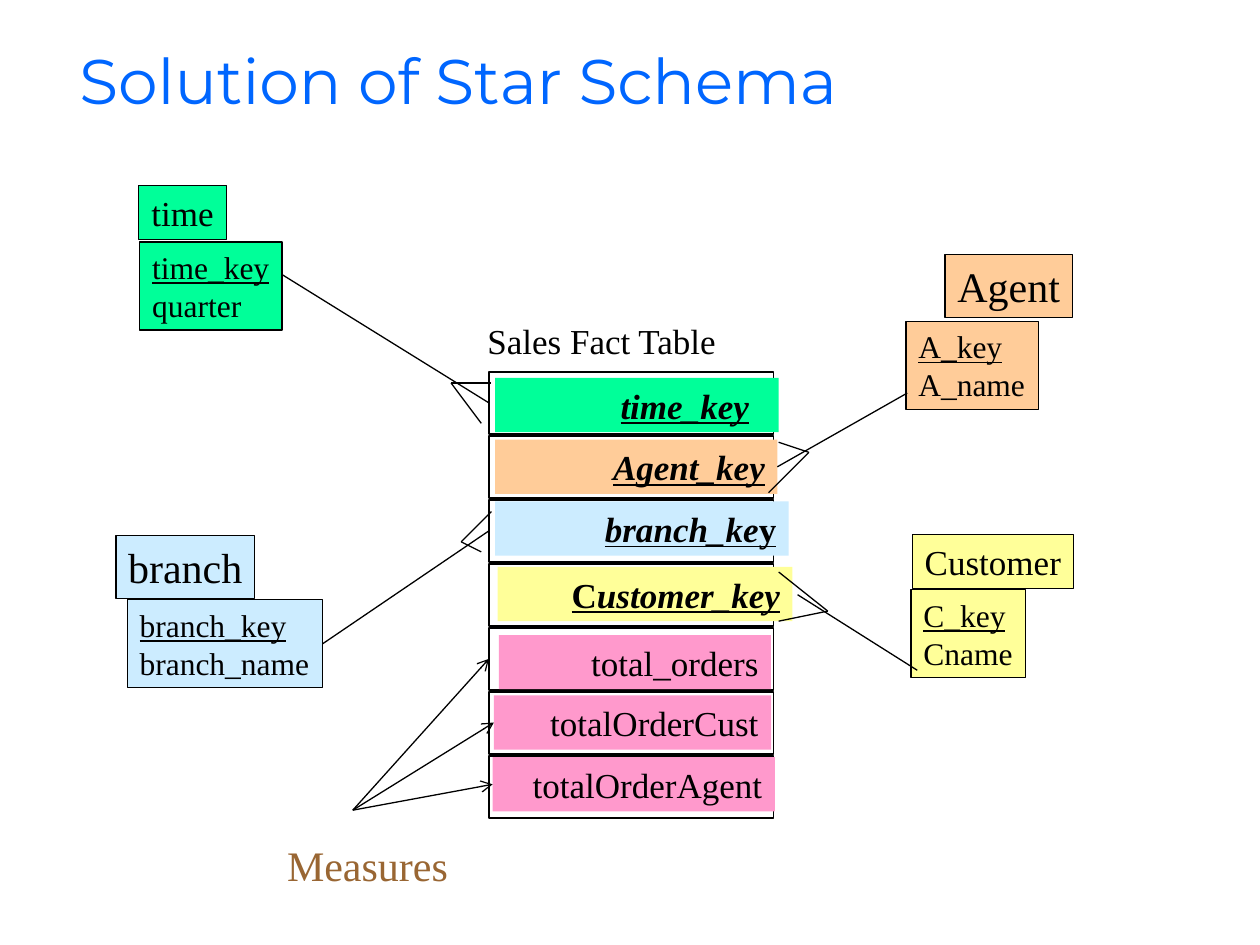
from lxml.etree import SubElement
from pptx import Presentation
from pptx.dml.color import RGBColor
from pptx.enum.shapes import MSO_CONNECTOR as CONN, MSO_SHAPE as SHAPE
from pptx.enum.text import MSO_ANCHOR as ANCHOR, MSO_AUTO_SIZE as FIT, PP_ALIGN as ALIGN
from pptx.oxml.ns import qn
from pptx.util import Inches, Pt

COLS, ROWS = 100, 75  # the slide as a grid of 0.1 inch cells
SERIF = "Times New Roman"
BLACK = "000000"
GREEN, ORANGE, BLUE, YELLOW, PINK = "00FF99", "FFCC99", "CCECFF", "FFFF99", "FF99CC"
LEFT, RIGHT = 1, 3  # connection sites of a rectangle
TABLE_X, TABLE_Y, TABLE_W = 38.8, 29.5, 22.6
ROW_H, ROW_PITCH, BAR_H = 4.95, 5.08, 4.3

# header box, header size, fields, field box, colour
DIMENSIONS = {
    "time": ((11, 14.7, 7, 4.3), 20, ("time_key", "quarter"), (11.1, 19.2, 11.3, 7), GREEN),
    "Customer": ((72.4, 42.4, 12.8, 4.3), 20, ("C_key", "Cname"), (72.3, 46.8, 9.1, 7), YELLOW),
    "Agent": ((75, 20.2, 10.1, 5), 24, ("A_key", "A_name"), (71.9, 25.5, 10.5, 7), ORANGE),
    "branch": ((9.2, 42.5, 11, 5), 24, ("branch_key", "branch_name"), (10.1, 47.6, 15.5, 7), BLUE),
}

# runs with their styles, bar left, top and width, colour, right margin
FACT_ROWS = [
    ([("time_key", "biu")], 39.3, 30, 22.5, GREEN, 2.35),
    ([("Agent_key", "biu")], 39.3, 34.9, 22.4, ORANGE, 1),
    ([("branch_ke", "biu"), ("y", "bu")], 39.3, 39.8, 23.3, BLUE, 1),
    ([("C", "bu"), ("ustomer_key", "biu")], 39.5, 45, 23.4, YELLOW, 1),
    ([("total_orders", "")], 39.6, 50.4, 21.6, PINK, 1),
    ([("totalOrderCust", "")], 39.2, 55.2, 22, PINK, 1),
    ([("totalOrderAgent", "")], 39.1, 60.1, 22.4, PINK, 1),
]

# tip, then the ends of the two toes
CROWS_FEET = [
    ((35.8, 30.4), (39, 30.4), (38.2, 33.6)),
    ((36.6, 43), (39, 40.6), (38.2, 43.8)),
    ((64.2, 35.9), (61.8, 35.1), (61, 39.1)),
    ((65.7, 48.5), (61.8, 49.3), (61.8, 45.4)),
]


def cells(*values):
    return [Inches(v / 10) for v in values]


def rgb(color):
    return RGBColor.from_string(color)


def write(p, runs, size, color=BLACK, font=SERIF):
    """Add (text, style) runs; a style holds any of the letters b, i and u."""
    for text, style in runs:
        r = p.add_run()
        r.text = text
        r.font.size, r.font.name = Pt(size), font
        r.font.color.rgb = rgb(color)
        r.font.bold, r.font.italic, r.font.underline = (k in style for k in "biu")


def add_rect(shapes, box, fill=None, line=None):
    s = shapes.add_shape(SHAPE.RECTANGLE, *cells(*box))
    s.shadow.inherit = False
    if fill:
        s.fill.solid()
        s.fill.fore_color.rgb = rgb(fill)
    else:
        s.fill.background()
    if line:
        s.line.color.rgb = rgb(BLACK)
        s.line.width = Pt(line)
    else:
        s.line.fill.background()
    return s


def fill_text(s, paragraphs, size, align=ALIGN.LEFT, color=BLACK):
    tf = s.text_frame
    tf.word_wrap = False
    tf.vertical_anchor = ANCHOR.TOP
    for n, runs in enumerate(paragraphs):
        p = tf.add_paragraph() if n else tf.paragraphs[0]
        p.alignment = align
        write(p, runs, size, color)


def add_title(slide, text):
    s = slide.shapes.title
    s.left, s.top, s.width, s.height = cells(5.3, 3.1, 90.3, 6.7)
    tf = s.text_frame
    tf.auto_size, tf.vertical_anchor = FIT.NONE, ANCHOR.BOTTOM
    tf.paragraphs[0].alignment = ALIGN.LEFT
    write(tf.paragraphs[0], [(text, "")], 36, "0066FF", "Montserrat")


def add_label(slide, text, box, size, color=BLACK):
    s = slide.shapes.add_textbox(*cells(*box))
    fill_text(s, [[(text, "")]], size, color=color)
    s.text_frame.word_wrap = True


def add_dimension(slide, name, header_box, size, fields, field_box, color):
    """Draw a grouped header and field list; return the field list."""
    shapes = slide.shapes.add_group_shape().shapes
    key, attribute = fields
    body = add_rect(shapes, field_box, color, 0.75)
    fill_text(body, [[(key, "u")], [(attribute, "")]], 18)
    fill_text(add_rect(shapes, header_box, color, 0.75), [[(name, "")]], size, ALIGN.CENTER)
    return body


def add_fact_row(slide, index, runs, left, top, width, color, margin):
    """Draw one frame with its coloured bar; return both."""
    y = TABLE_Y + index * ROW_PITCH
    frame = add_rect(slide.shapes, (TABLE_X, y, TABLE_W, ROW_H), line=1)
    bar = add_rect(slide.shapes, (left, top, width, BAR_H), color)
    fill_text(bar, [runs], 20, ALIGN.RIGHT)
    bar.text_frame.word_wrap = True
    bar.text_frame.margin_right = Inches(margin / 10)
    return frame, bar


def add_line(slide, start, end, arrow=False):
    """Draw a line; each end is a grid point or a (shape, site) pair."""
    s = slide.shapes.add_connector(CONN.STRAIGHT, 0, 0, 0, 0)
    if hasattr(start[0], "text_frame"):
        s.begin_connect(*start)
    else:
        s.begin_x, s.begin_y = cells(*start)
    if hasattr(end[0], "text_frame"):
        s.end_connect(*end)
    else:
        s.end_x, s.end_y = cells(*end)
    s.line.color.rgb = rgb(BLACK)
    s.line.width = Pt(0.75)
    if arrow:
        SubElement(s.line._get_or_add_ln(), qn("a:tailEnd"), type="arrow")
    SubElement(s._element.spPr, qn("a:effectLst"))


def main():
    prs = Presentation()
    prs.slide_width, prs.slide_height = cells(COLS, ROWS)
    slide = prs.slides.add_slide(prs.slide_layouts[5])
    add_title(slide, "Solution of Star Schema")
    add_label(slide, "Sales Fact Table", (37.7, 24.9, 22, 4.3), 20)

    rows = [add_fact_row(slide, n, *row) for n, row in enumerate(FACT_ROWS)]
    frames, bars = zip(*rows)
    dims = {name: add_dimension(slide, name, *d) for name, d in DIMENSIONS.items()}

    add_line(slide, (22.4, 21.8), (frames[0], LEFT))
    add_line(slide, (dims["branch"], RIGHT), (frames[2], LEFT))
    add_line(slide, (72, 31.2), (bars[1], RIGHT))
    add_line(slide, (72.8, 53.2), (63.3, 47.2))
    for tip, *toes in CROWS_FEET:
        for toe in toes:
            add_line(slide, tip, toe)
    for measure in (frames[4], bars[5], bars[6]):
        add_line(slide, (28, 64.3), (measure, LEFT), arrow=True)
    add_label(slide, "Measures", (21.8, 66.1, 17, 5), 24, "996633")
    prs.save("out.pptx")


if __name__ == "__main__":
    main()
